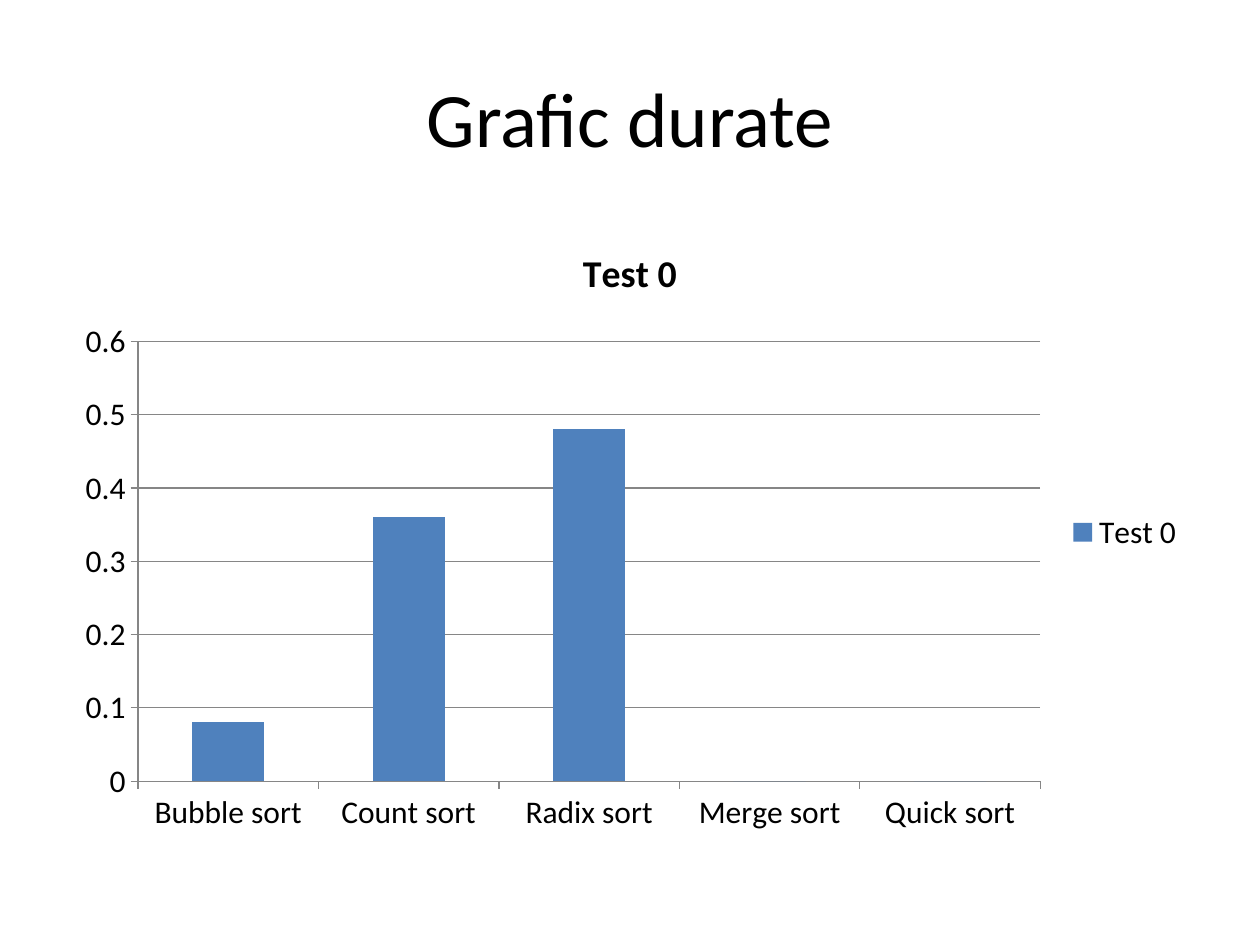
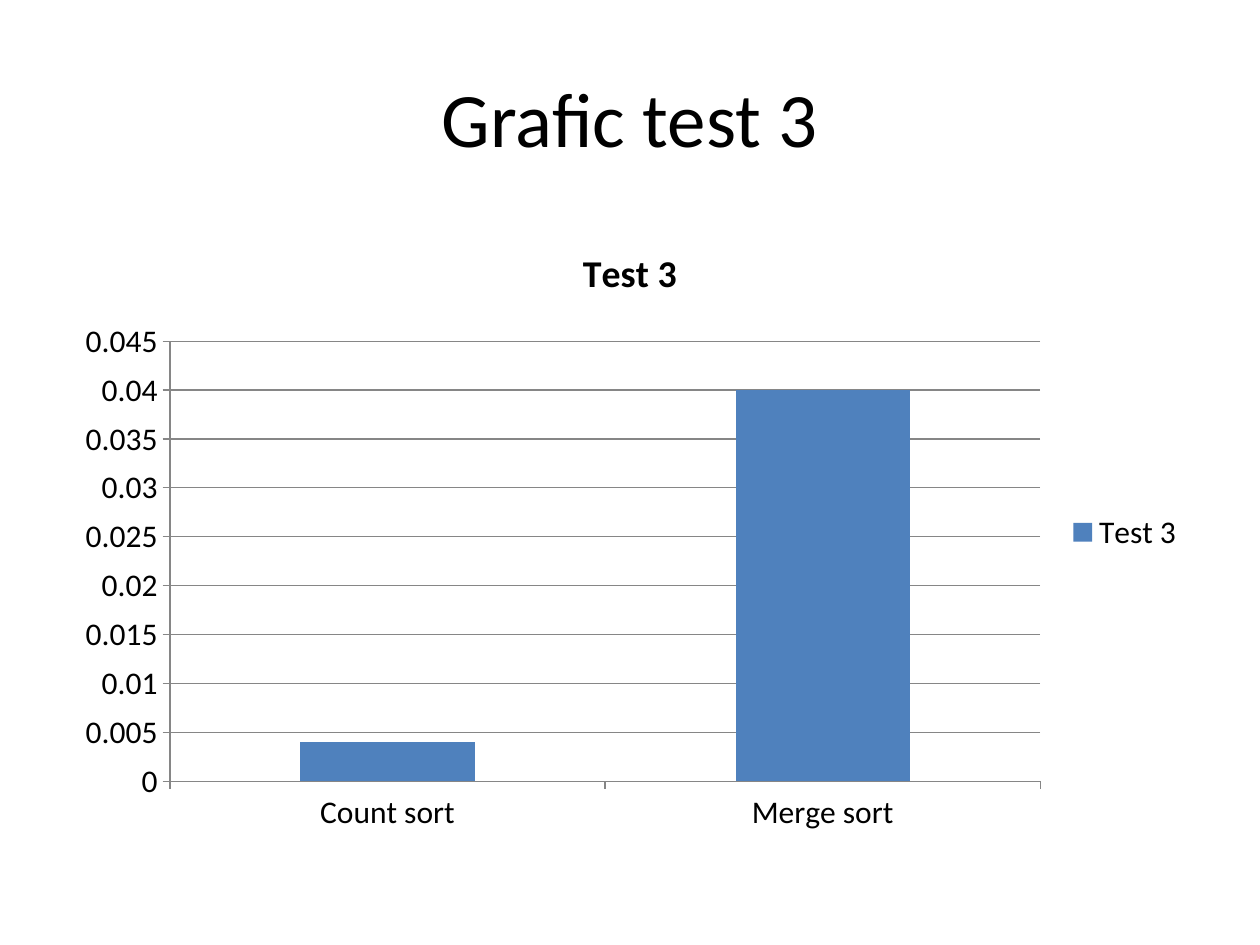
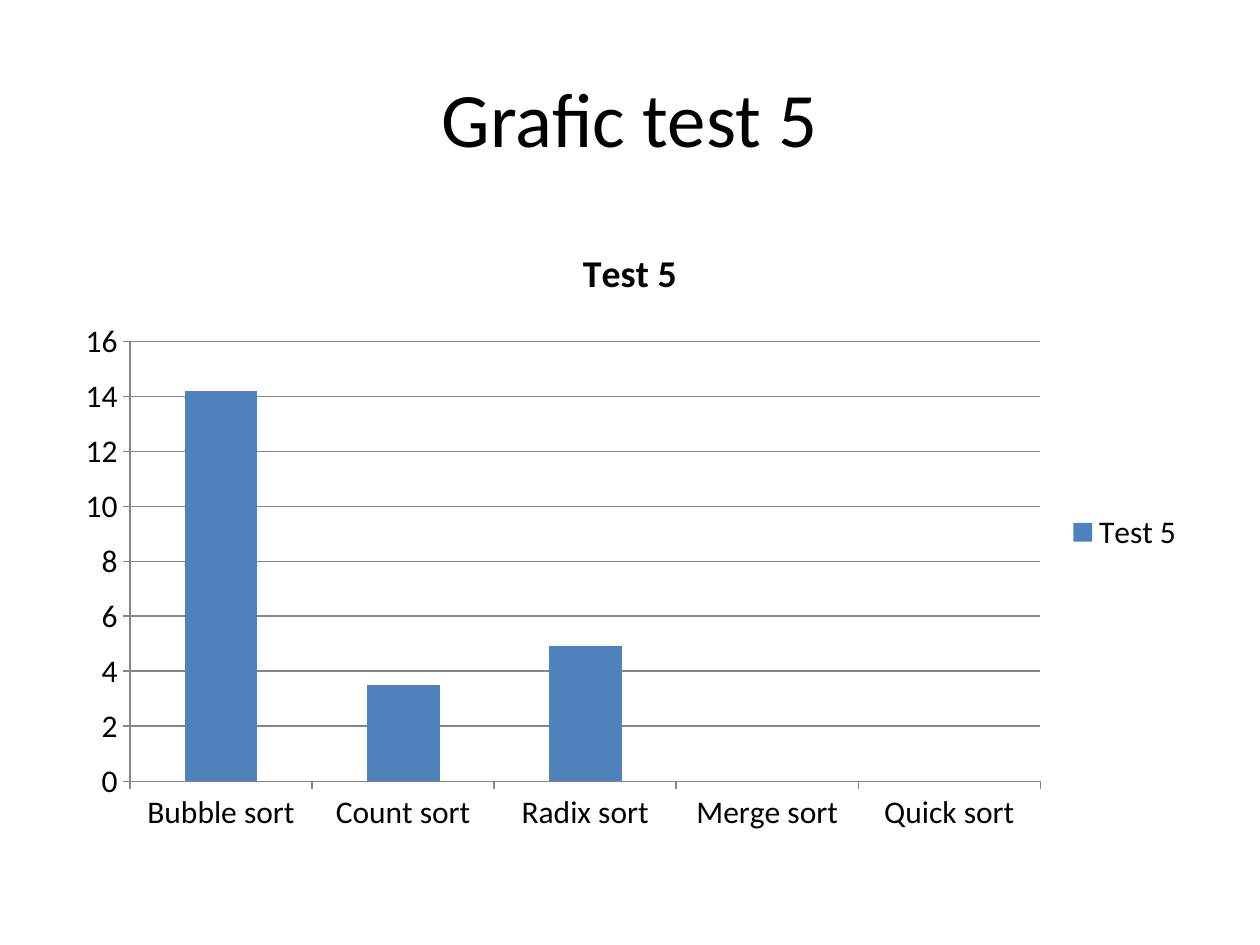
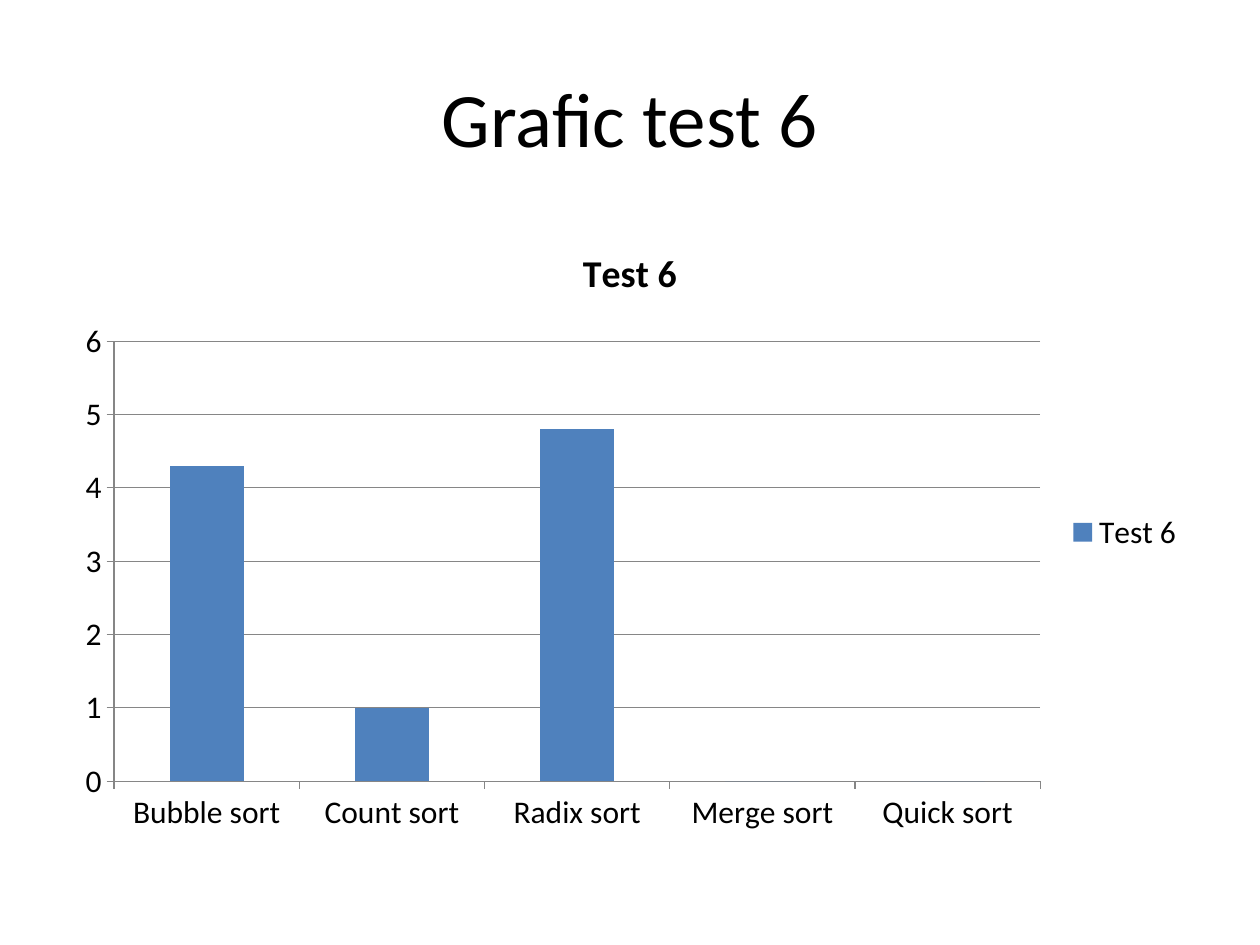
import pptx
import pptx.chart.data
import pptx.dml.color
import pptx.enum.chart
import pptx.enum.text
import pptx.util

Pt = pptx.util.Pt
FONT = "Calibri"
BLACK = "000000"
BAR_BLUE = "4F81BD"
AXIS_GRAY = "868686"
TITLE_ONLY = 5
TITLE_BOX = (36, 21.6, 648, 90)
CHART_BOX = (36, 126, 648, 356.4)

ALL_SORTS = ["Bubble sort", "Count sort", "Radix sort", "Merge sort", "Quick sort"]
TESTS = [
    ("Grafic durate", "Test 0", ALL_SORTS, [0.08, 0.36, 0.48, 0, 0], 0.6, 0.1),
    ("Grafic test 3", "Test 3", ["Count sort", "Merge sort"], [0.004, 0.04], 0.045, 0.005),
    ("Grafic test 5", "Test 5", ALL_SORTS, [14.2, 3.5, 4.9, 0, 0], 16, 2),
    ("Grafic test 6", "Test 6", ALL_SORTS, [4.3, 1, 4.8, 0, 0], 6, 1),
]


def rgb(code):
    return pptx.dml.color.RGBColor.from_string(code)


def points(box):
    return [Pt(length) for length in box]


def apply(target, values):
    for key, value in values.items():
        setattr(target, key, value)


def style_font(font, size, bold=False):
    apply(font, {"name": FONT, "size": Pt(size), "bold": bold})
    font.color.rgb = rgb(BLACK)


def style_line(line):
    line.color.rgb = rgb(AXIS_GRAY)
    line.width = Pt(0.75)


def add_heading(slide, wording):
    heading = slide.shapes.title
    apply(heading, dict(zip(("left", "top", "width", "height"), points(TITLE_BOX))))
    frame = heading.text_frame
    apply(frame, {
        "text": wording,
        "vertical_anchor": pptx.enum.text.MSO_ANCHOR.MIDDLE,
        "word_wrap": True,
    })
    line = frame.paragraphs[0]
    line.alignment = pptx.enum.text.PP_ALIGN.CENTER
    style_font(line.runs[0].font, 44)


def style_axes(chart, top, step):
    outside = pptx.enum.chart.XL_TICK_MARK.OUTSIDE
    for axis in (chart.category_axis, chart.value_axis):
        axis.major_tick_mark = outside
        style_line(axis.format.line)
    durations = chart.value_axis
    apply(durations, {
        "has_major_gridlines": True,
        "minimum_scale": 0,
        "maximum_scale": top,
        "major_unit": step,
    })
    style_line(durations.major_gridlines.format.line)


def add_durations(slide, test, sorts, durations, top, step):
    data = pptx.chart.data.CategoryChartData()
    data.categories = sorts
    data.add_series(test, durations)
    chart = slide.shapes.add_chart(
        pptx.enum.chart.XL_CHART_TYPE.COLUMN_CLUSTERED, *points(CHART_BOX), data
    ).chart
    style_font(chart.font, 18)
    apply(chart, {"has_title": True, "has_legend": True})
    caption = chart.chart_title.text_frame
    caption.text = test
    style_font(caption.paragraphs[0].runs[0].font, 21.6, True)
    apply(chart.legend, {
        "position": pptx.enum.chart.XL_LEGEND_POSITION.RIGHT,
        "include_in_layout": False,
    })
    style_axes(chart, top, step)
    plot = chart.plots[0]
    apply(plot, {"gap_width": 150, "vary_by_categories": False})
    bars = plot.series[0].format.fill
    bars.solid()
    bars.fore_color.rgb = rgb(BAR_BLUE)


def main():
    deck = pptx.Presentation()
    apply(deck, {"slide_width": Pt(720), "slide_height": Pt(540)})
    for heading, *results in TESTS:
        slide = deck.slides.add_slide(deck.slide_layouts[TITLE_ONLY])
        add_heading(slide, heading)
        add_durations(slide, *results)
    deck.save("out.pptx")


main()
